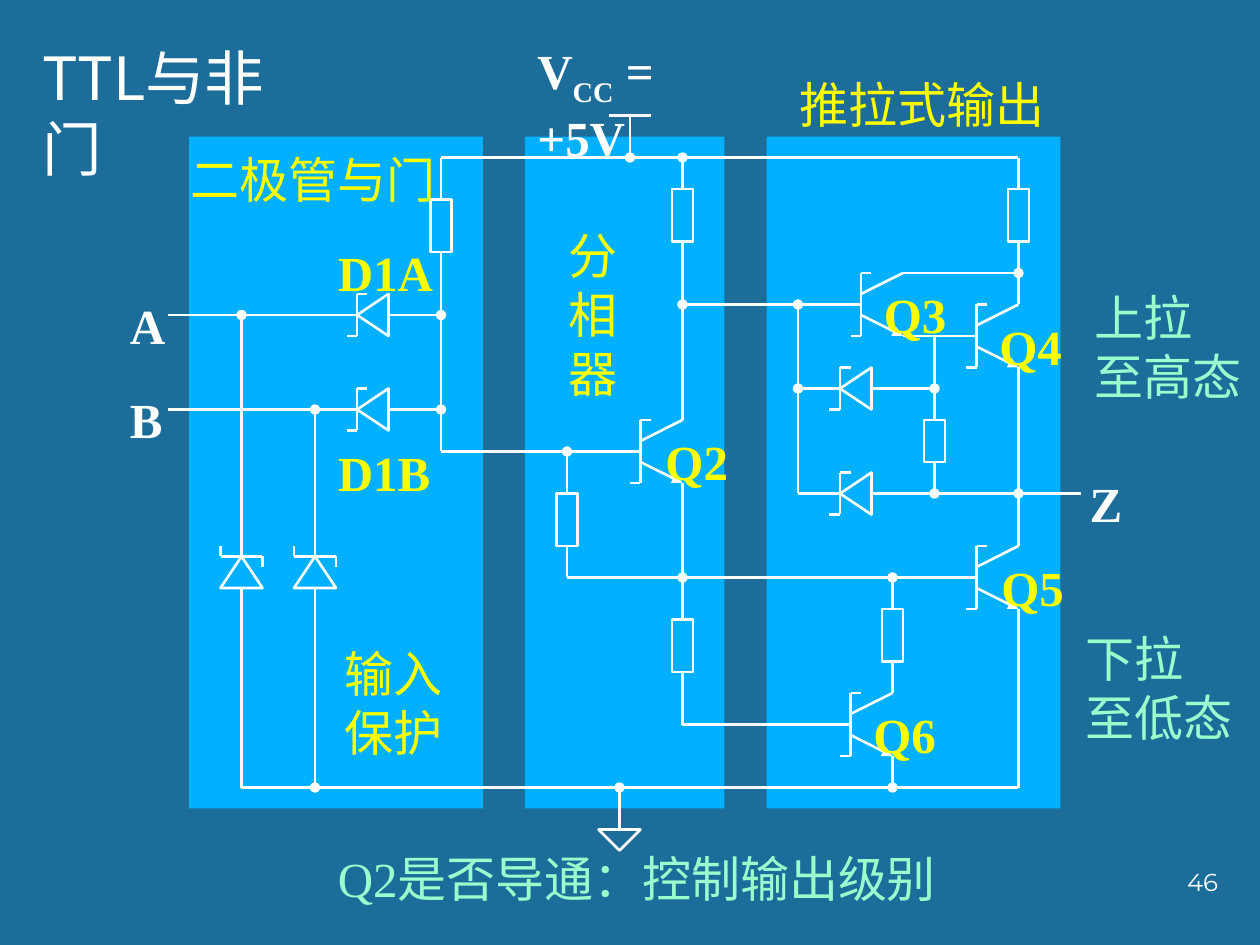
from dataclasses import dataclass

from lxml.etree import SubElement
from pptx import Presentation
from pptx.dml.color import RGBColor
from pptx.enum.shapes import MSO_CONNECTOR, MSO_SHAPE
from pptx.enum.text import MSO_ANCHOR, PP_ALIGN
from pptx.oxml.ns import qn
from pptx.util import Pt

PX = 7620  # EMU in one px, 120 px to the inch


@dataclass(frozen=True)
class Theme:
    background: str = "1C6D9A"
    panel: str = "01B0FF"
    wire: str = "FFFFFF"
    label: str = "FFFF00"
    note: str = "99FFCC"
    text_font: str = "Times New Roman"
    title_font: str = "Noto Sans CJK SC"
    number_font: str = "Montserrat"
    title_size: int = 34
    text_size: int = 28
    number_size: int = 14
    line_width: float = 1.5


class Sheet:
    def __init__(self, slide, theme):
        self.slide = slide
        self.theme = theme
        slide.background.fill.solid()
        slide.background.fill.fore_color.rgb = RGBColor.from_string(theme.background)

    # Text
    def fill_text(self, box, paragraphs, color, wrap=False, inset=11, align=PP_ALIGN.LEFT, **format_values):
        frame = box.text_frame
        frame_values = {"word_wrap": wrap, "vertical_anchor": MSO_ANCHOR.TOP, "margin_left": 12 * PX,
                        "margin_right": 12 * PX, "margin_top": inset * PX, "margin_bottom": 6 * PX}
        for name, value in frame_values.items():
            setattr(frame, name, value)
        values = {"name": self.theme.text_font, "size": self.theme.text_size, "bold": False} | format_values
        values["size"] = Pt(values["size"])
        for index, spans in enumerate(paragraphs):
            para = frame.add_paragraph() if index else frame.paragraphs[0]
            para.alignment = align
            for text, baseline in spans:
                span = para.add_run()
                span.text = text
                for name, value in values.items():
                    setattr(span.font, name, value)
                span.font.color.rgb = RGBColor.from_string(color)
                if baseline:
                    span._r.get_or_add_rPr().set("baseline", str(baseline * 1000))

    def text(self, left, top, width, height, lines, color, **options):
        box = self.slide.shapes.add_textbox(left * PX, top * PX, width * PX, height * PX)
        paragraphs = [[(line, 0)] if isinstance(line, str) else line for line in lines]
        self.fill_text(box, paragraphs, color, **options)

    def title(self, left, top, width, height, words):
        box = self.slide.shapes.title
        for name, value in {"left": left, "top": top, "width": width, "height": height}.items():
            setattr(box, name, value * PX)
        self.fill_text(box, [[(words, 0)]], self.theme.wire, wrap=True,
                       name=self.theme.title_font, size=self.theme.title_size)

    # Basic shapes
    def shape(self, kind, left, top, width, height, fill=None, rotation=0):
        shape = self.slide.shapes.add_shape(kind, left * PX, top * PX, width * PX, height * PX)
        shape.shadow.inherit = False
        shape.rotation = rotation
        if fill:
            shape.fill.solid()
            shape.fill.fore_color.rgb = RGBColor.from_string(fill)
            shape.line.fill.background()
        else:
            shape.fill.background()
            shape.line.color.rgb = RGBColor.from_string(self.theme.wire)
            shape.line.width = Pt(self.theme.line_width)

    def wire(self, x1, y1, x2, y2, end=None):
        wire = self.slide.shapes.add_connector(MSO_CONNECTOR.STRAIGHT, x1 * PX, y1 * PX, x2 * PX, y2 * PX)
        wire.line.color.rgb = RGBColor.from_string(self.theme.wire)
        wire.line.width = Pt(self.theme.line_width)
        if end:
            SubElement(wire.line._get_or_add_ln(), qn("a:tailEnd"), type=end)
        SubElement(wire._element.spPr, qn("a:effectLst"))

    # Circuit symbols
    def resistor(self, x, top, height=50):
        self.shape(MSO_SHAPE.RECTANGLE, x - 10, top, 20, height)

    def transistor(self, x, y):
        self.wire(x, y, x, y + 60)
        self.wire(x, y + 40, x + 40, y + 60, "triangle")
        self.wire(x, y + 20, x + 40, y)
        self.wire(x, y, x + 10, y)
        self.wire(x - 10, y + 60, x, y + 60)

    def diode(self, x, y, upward=False):
        """Schottky diode with its tip at x, y, pointing left or up."""
        def point(along, across):
            return (x - across, y + along) if upward else (x + along, y + across)

        center_x, center_y = point(15, 0)
        self.shape(MSO_SHAPE.ISOSCELES_TRIANGLE, center_x - 20, center_y - 15, 40, 30,
                   rotation=0 if upward else 270)
        self.wire(*point(0, -20), *point(0, 20))
        self.wire(*point(0, -20), *point(10, -20))
        self.wire(*point(0, 20), *point(-10, 20))


PANELS = [(180, 280), (500, 190), (730, 280)]
RESISTORS = [(420, 190), (970, 180), (650, 180), (540, 470), (850, 580), (650, 590), (890, 400, 40)]
TRANSISTORS = [(610, 400), (820, 260), (930, 290), (930, 520), (810, 660)]
DIODES = [(340, 300), (340, 390), (800, 370), (800, 470), (230, 530, True), (300, 530, True)]
WIRES = [
    # Supply and ground
    (420, 150, 970, 150), (600, 110, 600, 150, "oval"), (580, 110, 620, 110),
    (230, 750, 970, 750), (590, 790, 590, 750, "oval"),
    # Inputs and clamps
    (340, 300, 160, 300), (340, 390, 160, 390),
    (370, 300, 420, 300, "oval"), (370, 390, 420, 390, "oval"),
    (230, 530, 230, 300, "oval"), (300, 530, 300, 390, "oval"),
    (230, 750, 230, 560), (300, 560, 300, 750, "oval"),
    (420, 150, 420, 190), (420, 240, 420, 430),
    # Phase splitter
    (610, 430, 420, 430), (540, 470, 540, 430, "oval"), (540, 520, 540, 550),
    (650, 180, 650, 150, "oval"), (650, 230, 650, 400), (650, 460, 650, 590),
    (540, 550, 650, 550, "oval"), (930, 550, 650, 550),
    (650, 640, 650, 690), (650, 690, 810, 690),
    # Output stage
    (820, 290, 650, 290, "oval"), (760, 470, 760, 290, "oval"),
    (800, 370, 760, 370, "oval"), (830, 370, 890, 370, "oval"),
    (760, 470, 800, 470), (830, 470, 970, 470, "oval"), (970, 470, 1030, 470),
    (860, 260, 970, 260, "oval"), (930, 320, 860, 320),
    (890, 320, 890, 400), (890, 440, 890, 470, "oval"),
    (970, 180, 970, 150), (970, 290, 970, 230), (970, 350, 970, 520), (970, 580, 970, 750),
    (850, 580, 850, 550, "oval"), (850, 630, 850, 660), (850, 720, 850, 750, "oval"),
]
PARTS = [("Q2", 622, 400, 84), ("Q3", 830, 260, 84), ("Q4", 940, 290, 84), ("Q5", 942, 520, 84),
         ("Q6", 820, 660, 84), ("D1A", 310, 220, 116), ("D1B", 310, 410, 113)]
TERMINALS = [("A", 112, 270), ("B", 112, 360), ("Z", 1026, 440)]


def main():
    theme = Theme()
    deck = Presentation()
    deck.slide_width, deck.slide_height = 1200 * PX, 900 * PX
    sheet = Sheet(deck.slides.add_slide(deck.slide_layouts[5]), theme)

    # Stage panels
    for left, width in PANELS:
        sheet.shape(MSO_SHAPE.RECTANGLE, left, 130, width, 640, fill=theme.panel)

    # Circuit
    for draw, places in ((sheet.wire, WIRES), (sheet.resistor, RESISTORS),
                         (sheet.transistor, TRANSISTORS), (sheet.diode, DIODES)):
        for place in places:
            draw(*place)
    sheet.shape(MSO_SHAPE.ISOSCELES_TRIANGLE, 570, 790, 40, 20, rotation=180)

    # Terminal and part labels
    for name, left, top in TERMINALS:
        sheet.text(left, top, 48, 60, [name], theme.wire, bold=True)
    sheet.text(500, 28, 174, 60, [[("V", 0), ("CC", -25), (" = +5V", 0)]], theme.wire, wrap=True, bold=True)
    for name, left, top, width in PARTS:
        sheet.text(left, top, width, 68, [name], theme.label, bold=True)

    # Stage names and notes
    sheet.text(170, 131, 260, 68, ["二极管与门"], theme.label)
    sheet.text(316, 602, 119, 125, ["输入", "保护"], theme.label)
    sheet.text(530, 204, 72, 181, ["分", "相", "器"], theme.label)
    sheet.text(750, 60, 260, 68, ["推拉式输出"], theme.label)
    sheet.text(1031, 263, 166, 125, ["上拉", "至高态"], theme.note)
    sheet.text(1022, 588, 166, 125, ["下拉", "至低态"], theme.note)
    sheet.text(310, 797, 722, 68, ["Q2是否导通：控制输出级别"], theme.note, wrap=True)

    # Title and page number
    sheet.title(28, 28, 282, 80, "TTL与非门")
    sheet.text(922, 820, 250, 60, ["46"], theme.wire, wrap=True, inset=6, align=PP_ALIGN.RIGHT,
               name=theme.number_font, size=theme.number_size)
    deck.save("out.pptx")


if __name__ == "__main__":
    main()
